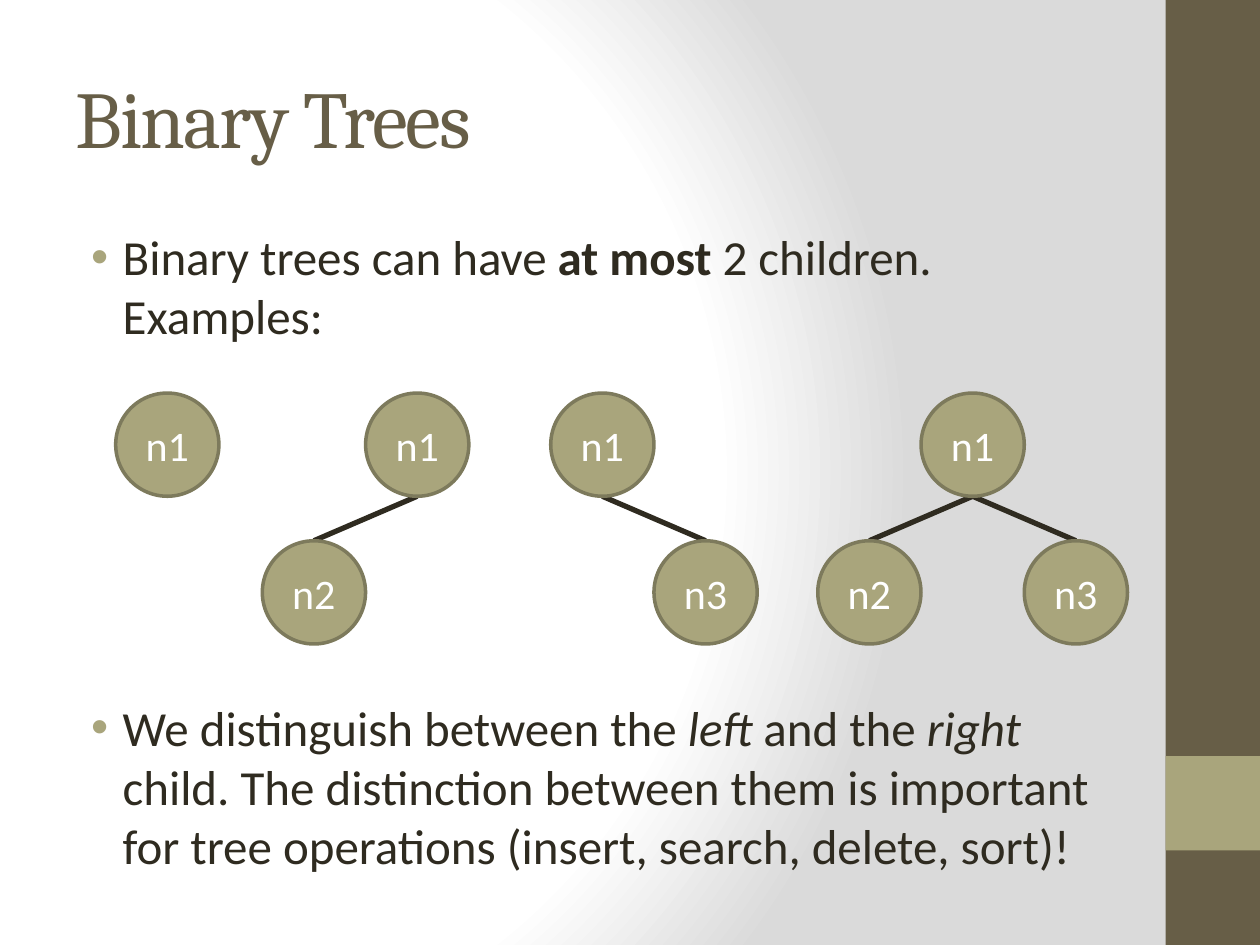
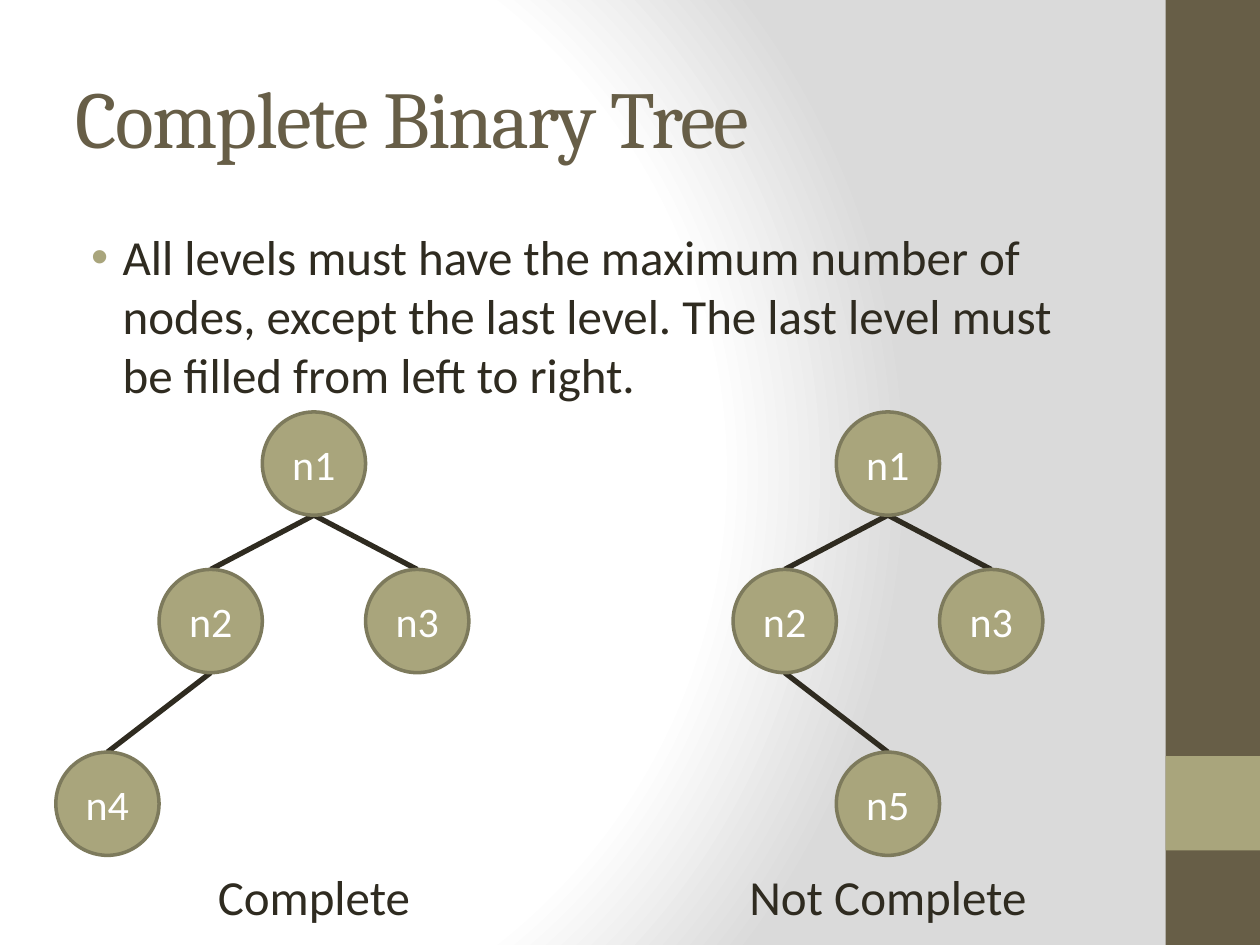
from dataclasses import dataclass

from lxml.etree import SubElement
from pptx import Presentation
from pptx.dml.color import RGBColor
from pptx.enum.shapes import MSO_CONNECTOR as Connector, MSO_SHAPE as Shape
from pptx.enum.text import MSO_ANCHOR as Anchor, PP_ALIGN as Align
from pptx.oxml import parse_xml
from pptx.oxml.ns import nsdecls, qn
from pptx.util import Pt

SLIDES = [
    {
        "title": "Binary Trees",
        "bullets": [
            (126, [("Binary trees can have ", ""), ("at most", "bold"),
                   (" 2 children. Examples:", "")]),
            (395, [("We distinguish between the ", ""), ("left", "italic"),
                   (" and the ", ""), ("right", "italic"),
                   (" child. The distinction between them is important "
                    "for tree operations (insert, search, delete, sort)!", "")]),
        ],
        "level_tops": [224.6, 309],
        "trees": [
            (95.6, ("n1", None, None), None),
            (238.4, ("n1", ("n2", None, None), None), None),
            (344.2, ("n1", None, ("n3", None, None)), None),
            (555.8, ("n1", ("n2", None, None), ("n3", None, None)), None),
        ],
    },
    {
        "title": "Complete Binary Tree",
        "bullets": [
            (126, [("All levels must have the maximum number of nodes, except "
                    "the last level. The last level must be filled from left "
                    "to right.", "")]),
        ],
        "level_tops": [235.4, 325.4, 429.8],
        "trees": [
            (179.4, ("n1", ("n2", ("n4", None, None), None),
                     ("n3", None, None)), "Complete"),
            (507.4, ("n1", ("n2", None, ("n5", None, None)),
                     ("n3", None, None)), "Not Complete"),
        ],
    },
]


@dataclass(frozen=True)
class Theme:
    dark: str = "675E47"
    accent: str = "A9A57C"
    outline: str = "7D7A5C"
    ink: str = "2F2B20"
    white: str = "FFFFFF"
    grey: str = "DADADA"
    heading: str = "Cambria"
    body: str = "Calibri"
    title_size: int = 46
    body_size: int = 28
    node_size: int = 24


THEME = Theme()
WIDTH, HEIGHT = 720, 540
MARGIN, TEXT_WIDTH = 36, 600
BAND_LEFT, BAND_WIDTH = 666, 54
NODE = 59
CAPTION_TOP, CAPTION_WIDTH, CAPTION_HEIGHT = 491.8, 174, 41


def set_font(font, name, size, color):
    font.name, font.size = name, Pt(size)
    font.color.rgb = RGBColor.from_string(color)


def add_filled(page, kind, left, top, width, height, color):
    shape = page.shapes.add_shape(kind, Pt(left), Pt(top), Pt(width), Pt(height))
    shape.shadow.inherit = False
    shape.fill.solid()
    shape.fill.fore_color.rgb = RGBColor.from_string(color)
    shape.line.fill.background()
    return shape


def add_text_box(page, left, top, width, height, wrap=True):
    box = page.shapes.add_textbox(Pt(left), Pt(top), Pt(width), Pt(height))
    box.text_frame.word_wrap = wrap
    return box.text_frame


def add_background(page):
    stops = "".join(
        f'<a:gs pos="{place * 1000}"><a:srgbClr val="{color}"/></a:gs>'
        for place, color in [(0, THEME.white), (75, THEME.white), (100, THEME.grey)]
    )
    page.element.find(qn("p:cSld")).insert(0, parse_xml(
        f'<p:bg {nsdecls("p", "a")}><p:bgPr><a:gradFill rotWithShape="1">'
        f'<a:gsLst>{stops}</a:gsLst><a:path path="circle">'
        '<a:fillToRect l="20000" t="50000" r="100000" b="50000"/></a:path>'
        '</a:gradFill><a:effectLst/></p:bgPr></p:bg>'
    ))


def add_frame(page, title):
    add_background(page)
    add_filled(page, Shape.RECTANGLE, BAND_LEFT, 0, BAND_WIDTH, HEIGHT, THEME.dark)
    add_filled(page, Shape.RECTANGLE, BAND_LEFT, 432, BAND_WIDTH, BAND_WIDTH, THEME.accent)
    frame = add_text_box(page, MARGIN, 21.6, TEXT_WIDTH, 90)
    frame.vertical_anchor = Anchor.MIDDLE
    para = frame.paragraphs[0]
    span = para.add_run()
    span.text = title
    span.font._element.set("spc", "-100")
    set_font(para.font, THEME.heading, THEME.title_size, THEME.dark)


def add_bullet(page, top, parts):
    para = add_text_box(page, MARGIN, top, TEXT_WIDTH, 110).paragraphs[0]
    props = para._p.get_or_add_pPr()
    props.set("marL", str(Pt(27)))
    props.set("indent", str(Pt(-18)))
    SubElement(SubElement(props, qn("a:buClr")), qn("a:srgbClr")).set("val", THEME.accent)
    SubElement(props, qn("a:buFont")).set("typeface", "Arial")
    SubElement(props, qn("a:buChar")).set("char", "•")
    set_font(para.font, THEME.body, THEME.body_size, THEME.ink)
    for text, style in parts:
        span = para.add_run()
        span.text = text
        if style:
            setattr(span.font, style, True)


def add_edge(page, start, end):
    edge = page.shapes.add_connector(Connector.STRAIGHT, *map(Pt, start + end))
    edge.line.color.rgb = RGBColor.from_string(THEME.ink)
    edge.line.width = Pt(3)
    SubElement(edge._element.spPr, qn("a:effectLst"))


def add_node(page, center, top, name):
    node = add_filled(page, Shape.OVAL, center - NODE / 2, top, NODE, NODE, THEME.accent)
    node.line.color.rgb = RGBColor.from_string(THEME.outline)
    node.line.width = Pt(2)
    node.text_frame.word_wrap = False
    node.text_frame.vertical_anchor = Anchor.MIDDLE
    para = node.text_frame.paragraphs[0]
    para.text, para.alignment = name, Align.CENTER
    set_font(para.font, THEME.body, THEME.node_size, THEME.white)


def add_tree(page, center, tree, level_tops):
    name, *children = tree
    top = level_tops[0]
    for child, side in zip(children, (-1, 1)):
        if child:
            child_center = center + side * NODE
            add_edge(page, (center, top + NODE), (child_center, level_tops[1]))
            add_tree(page, child_center, child, level_tops[1:])
    add_node(page, center, top, name)


def add_caption(page, center, text):
    frame = add_text_box(page, center - CAPTION_WIDTH / 2, CAPTION_TOP,
                         CAPTION_WIDTH, CAPTION_HEIGHT, wrap=False)
    para = frame.paragraphs[0]
    para.text, para.alignment = text, Align.CENTER
    set_font(para.font, THEME.body, THEME.body_size, THEME.ink)


def main():
    deck = Presentation()
    deck.slide_width, deck.slide_height = Pt(WIDTH), Pt(HEIGHT)
    for content in SLIDES:
        page = deck.slides.add_slide(deck.slide_layouts[6])
        add_frame(page, content["title"])
        for top, parts in content["bullets"]:
            add_bullet(page, top, parts)
        for center, tree, caption in content["trees"]:
            add_tree(page, center, tree, content["level_tops"])
            if caption:
                add_caption(page, center, caption)
    deck.save("out.pptx")


if __name__ == "__main__":
    main()
